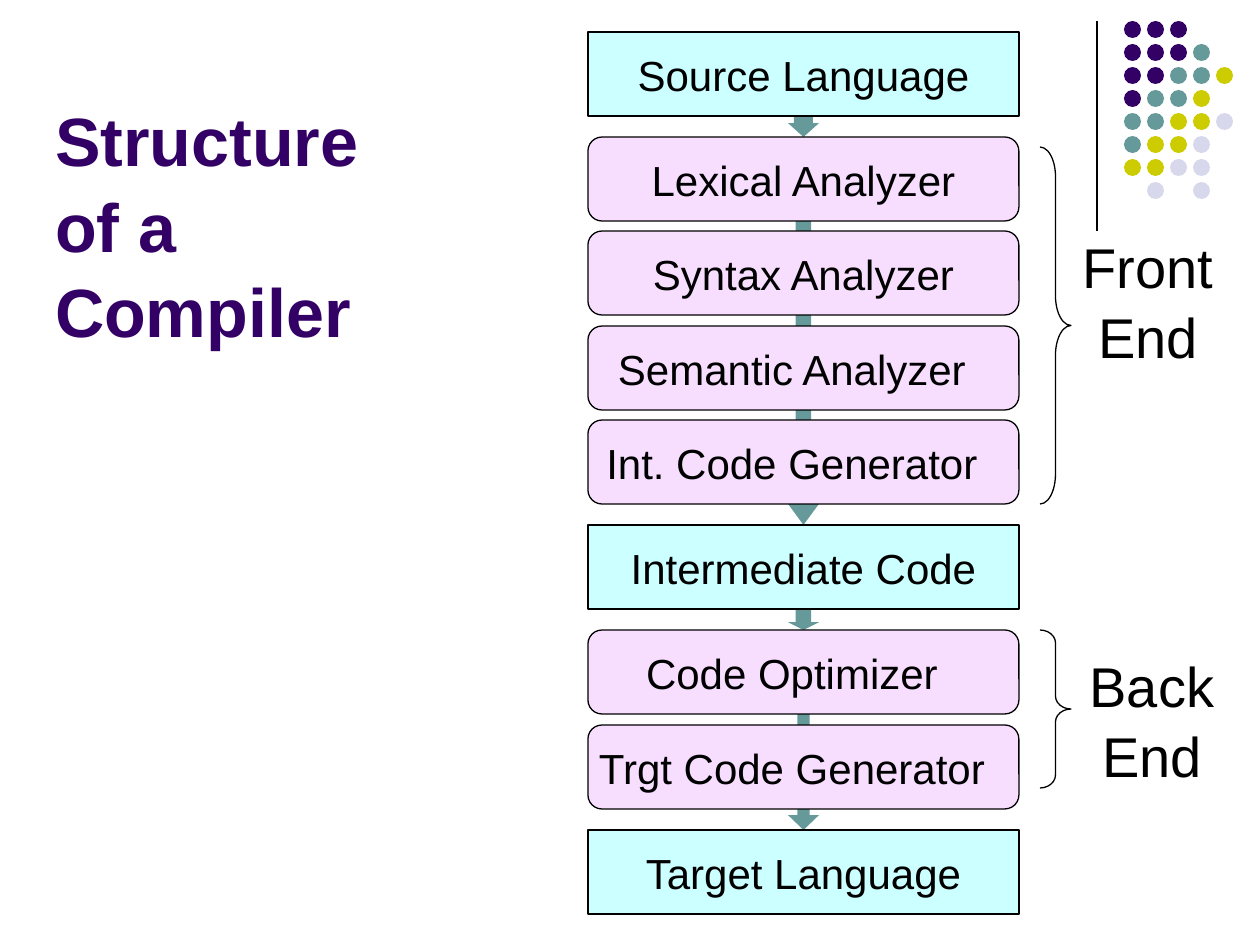
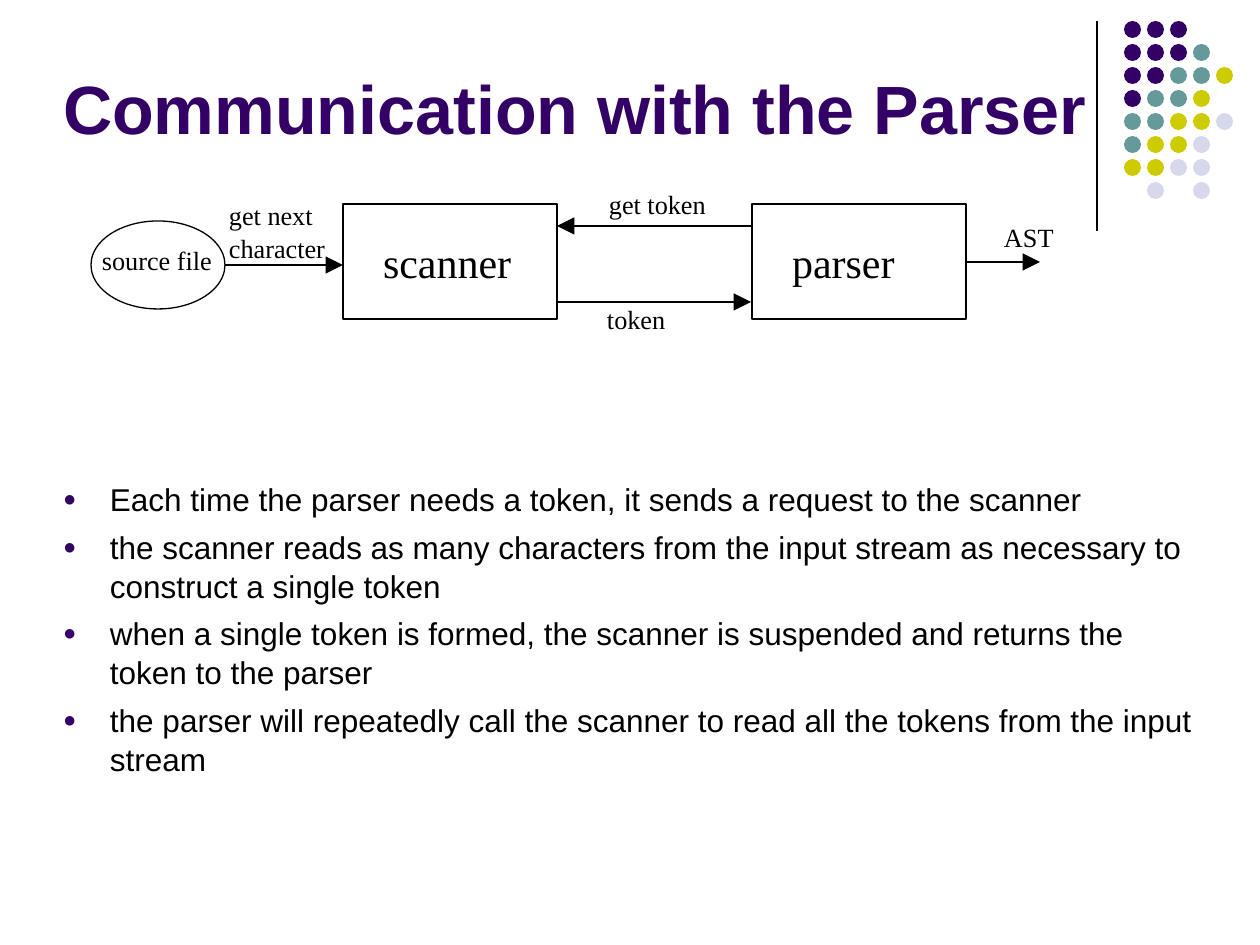
from lxml.etree import SubElement
from pptx import Presentation
from pptx.dml.color import RGBColor
from pptx.enum.shapes import MSO_CONNECTOR as CONNECTOR, MSO_SHAPE as SHAPE
from pptx.enum.text import MSO_ANCHOR as ANCHOR, MSO_AUTO_SIZE as AUTO, PP_ALIGN as ALIGN
from pptx.oxml.ns import qn
from pptx.util import Emu, Pt

PX_PER_INCH = 126
BLACK = RGBColor(0x00, 0x00, 0x00)
PURPLE = RGBColor(0x33, 0x00, 0x66)
TEAL = RGBColor(0x66, 0x99, 0x99)
YELLOW = RGBColor(0xCC, 0xCC, 0x00)
LAVENDER = RGBColor(0xD8, 0xD8, 0xEC)
CYAN = RGBColor(0xCC, 0xFF, 0xFF)
PINK = RGBColor(0xF7, 0xDE, 0xFF)

TITLE = {"name": "Arial", "size": Pt(39), "bold": True, "color": PURPLE}
BODY = {"name": "Arial", "size": Pt(18), "color": BLACK}
STAGE = {"name": "Arial", "size": Pt(24), "color": BLACK}
SIDE = {"name": "Arial", "size": Pt(32), "color": BLACK}
NODE = {"name": "Times New Roman", "size": Pt(24), "color": BLACK}
LABEL = {"name": "Times New Roman", "size": Pt(15), "color": BLACK}

DOT_COLORS = {"P": PURPLE, "T": TEAL, "Y": YELLOW, "L": LAVENDER}
DOT_ROWS = ["PPP", "PPPT", "PPTTY", "PTTY", "TTYYL", "TYYL", "YYLL", " L L"]
DOT_PITCH, DOT_SIZE = 23, 17

STAGE_LEFT, STAGE_WIDTH, STAGE_HEIGHT = 588, 431, 84
STAGES = [
    ("Source Language", 32, CYAN, 0),
    ("Lexical Analyzer", 137, PINK, 0),
    ("Syntax Analyzer", 231, PINK, 0),
    ("Semantic Analyzer", 326, PINK, 23),
    ("Int. Code Generator", 420, PINK, 23),
    ("Intermediate Code", 525, CYAN, 0),
    ("Code Optimizer", 630, PINK, 23),
    ("Trgt Code Generator", 725, PINK, 23),
    ("Target Language", 830, CYAN, 0),
]
FLOW_ARROWS = [
    (116, 21, 0.61, 0.66),
    (158, 367, 0.5, 0.68),
    (599, 31, 0.5, 0.25),
    (630, 200, 0.4, 0.48),
]
POINTS = [
    "Each time the parser needs a token, it sends a request to the scanner",
    "the scanner reads as many characters from the input stream as necessary to construct a single token",
    "when a single token is formed, the scanner is suspended and returns the token to the parser",
    "the parser will repeatedly call the scanner to read all the tokens from the input stream",
]


def px(n):
    return Emu(round(n * 914400 / PX_PER_INCH))


def set_frame(tf, insets=(0, 0, 0, 0), anchor=ANCHOR.TOP, wrap=True):
    sides = ("margin_left", "margin_top", "margin_right", "margin_bottom")
    values = dict(zip(sides, map(px, insets)))
    values.update(auto_size=AUTO.NONE, vertical_anchor=anchor, word_wrap=wrap)
    for key, value in values.items():
        setattr(tf, key, value)


def add_bullet(p):
    pPr = p._p.get_or_add_pPr()
    pPr.set("marL", str(px(47)))
    pPr.set("indent", str(px(-47)))
    color = SubElement(pPr, qn("a:buClr"))
    SubElement(color, qn("a:srgbClr"), val=str(PURPLE))
    SubElement(pPr, qn("a:buSzPct"), val="70000")
    SubElement(pPr, qn("a:buChar"), char="●")


def write(tf, lines, style, align=ALIGN.LEFT, gap=0, bullets=False):
    for i, line in enumerate(lines):
        p = tf.add_paragraph() if i else tf.paragraphs[0]
        p.alignment = align
        p.line_spacing = 1.04
        p.space_before = Pt(gap if i else 0)
        if bullets:
            add_bullet(p)
        r = p.add_run()
        r.text = line
        for key, value in style.items():
            if key == "color":
                r.font.color.rgb = value
            else:
                setattr(r.font, key, value)


def place(s, box):
    for key, n in zip(("left", "top", "width", "height"), box):
        setattr(s, key, px(n))


def add_title(slide, text, box, insets, anchor):
    s = slide.shapes.title
    place(s, box)
    set_frame(s.text_frame, insets, anchor)
    write(s.text_frame, [text], TITLE)


def add_bullets(slide, points, box):
    s = slide.placeholders[1]
    place(s, box)
    set_frame(s.text_frame)
    write(s.text_frame, points, BODY, gap=4.5, bullets=True)


def add_label(slide, lines, box, style, align=ALIGN.LEFT, wrap=True):
    tf = slide.shapes.add_textbox(*map(px, box)).text_frame
    set_frame(tf, wrap=wrap)
    write(tf, lines, style, align)


def add_figure(slide, kind, box, fill=None, outline=True, adjust=()):
    s = slide.shapes.add_shape(kind, *map(px, box))
    s.shadow.inherit = False
    for i, value in enumerate(adjust):
        s.adjustments[i] = value
    if fill is None:
        s.fill.background()
    else:
        s.fill.solid()
        s.fill.fore_color.rgb = fill
    if outline:
        s.line.color.rgb = BLACK
        s.line.width = Pt(0.75)
    else:
        s.line.fill.background()
    return s


def add_line(slide, x1, y1, x2, y2, arrow=False):
    s = slide.shapes.add_connector(CONNECTOR.STRAIGHT, px(x1), px(y1), px(x2), px(y2))
    s.line.color.rgb = BLACK
    s.line.width = Pt(0.75)
    spPr = s._element.spPr
    if arrow:
        SubElement(spPr.find(qn("a:ln")), qn("a:tailEnd"), type="triangle", w="lg", len="lg")
    SubElement(spPr, qn("a:effectLst"))


def add_corner_motif(slide):
    add_line(slide, 1097, 21, 1097, 231)
    for row, marks in enumerate(DOT_ROWS):
        for col, mark in enumerate(marks):
            if mark in DOT_COLORS:
                box = (1124 + col * DOT_PITCH, 21 + row * DOT_PITCH, DOT_SIZE, DOT_SIZE)
                add_figure(slide, SHAPE.OVAL, box, DOT_COLORS[mark], outline=False)


def add_stage(slide, text, top, fill, right_inset):
    kind = SHAPE.RECTANGLE if fill == CYAN else SHAPE.ROUNDED_RECTANGLE
    s = add_figure(slide, kind, (STAGE_LEFT, top, STAGE_WIDTH, STAGE_HEIGHT), fill)
    set_frame(s.text_frame, (0, 6, right_inset, 6), ANCHOR.MIDDLE, wrap=False)
    write(s.text_frame, [text], STAGE, ALIGN.CENTER)


def add_brace(slide, top, height):
    width = 31
    add_figure(slide, SHAPE.RIGHT_BRACE, (1040, top, width, height),
               adjust=(round(height / 12 / width, 2), 0.5))


def build_structure(slide):
    add_corner_motif(slide)
    add_title(slide, "Structure of a Compiler", (42, 42, 368, 315), (13, 6, 13, 6), ANCHOR.BOTTOM)
    for top, height, shaft, head in FLOW_ARROWS:
        add_figure(slide, SHAPE.DOWN_ARROW, (788, top, 31, height), TEAL,
                   outline=False, adjust=(shaft, head))
    for stage in STAGES:
        add_stage(slide, *stage)
    add_brace(slide, 147, 357)
    add_brace(slide, 630, 158)
    add_label(slide, ["Front", "End"], (1070, 230, 156, 135), SIDE, ALIGN.CENTER)
    add_label(slide, ["Back", "End"], (1077, 649, 150, 135), SIDE, ALIGN.CENTER)


def build_communication(slide):
    add_corner_motif(slide)
    add_title(slide, "Communication with the Parser", (63, 16, 1040, 179), (0, 0, 0, 0), ANCHOR.MIDDLE)
    add_bullets(slide, POINTS, (63, 479, 1134, 367))
    for name, left in (("scanner", 343), ("parser", 752)):
        add_figure(slide, SHAPE.RECTANGLE, (left, 204, 214, 115))
        add_label(slide, [name], (left + 40, 235, 159, 50), NODE)
    add_figure(slide, SHAPE.OVAL, (91, 221, 134, 88))
    for ends in ((751, 226, 557, 226), (558, 302, 751, 302),
                 (225, 265, 343, 265), (966, 262, 1040, 262)):
        add_line(slide, *ends, arrow=True)
    for text, box in (
        ("get token", (609, 187, 102, 32)),
        ("token", (607, 302, 107, 32)),
        ("source file", (102, 243, 114, 32)),
        ("get next character", (229, 198, 135, 63)),
        ("AST", (1004, 220, 55, 32)),
    ):
        add_label(slide, [text], box, LABEL)


def main():
    prs = Presentation()
    prs.slide_width, prs.slide_height = px(1260), px(945)
    build_structure(prs.slides.add_slide(prs.slide_layouts[5]))
    build_communication(prs.slides.add_slide(prs.slide_layouts[1]))
    prs.save("out.pptx")


if __name__ == "__main__":
    main()
